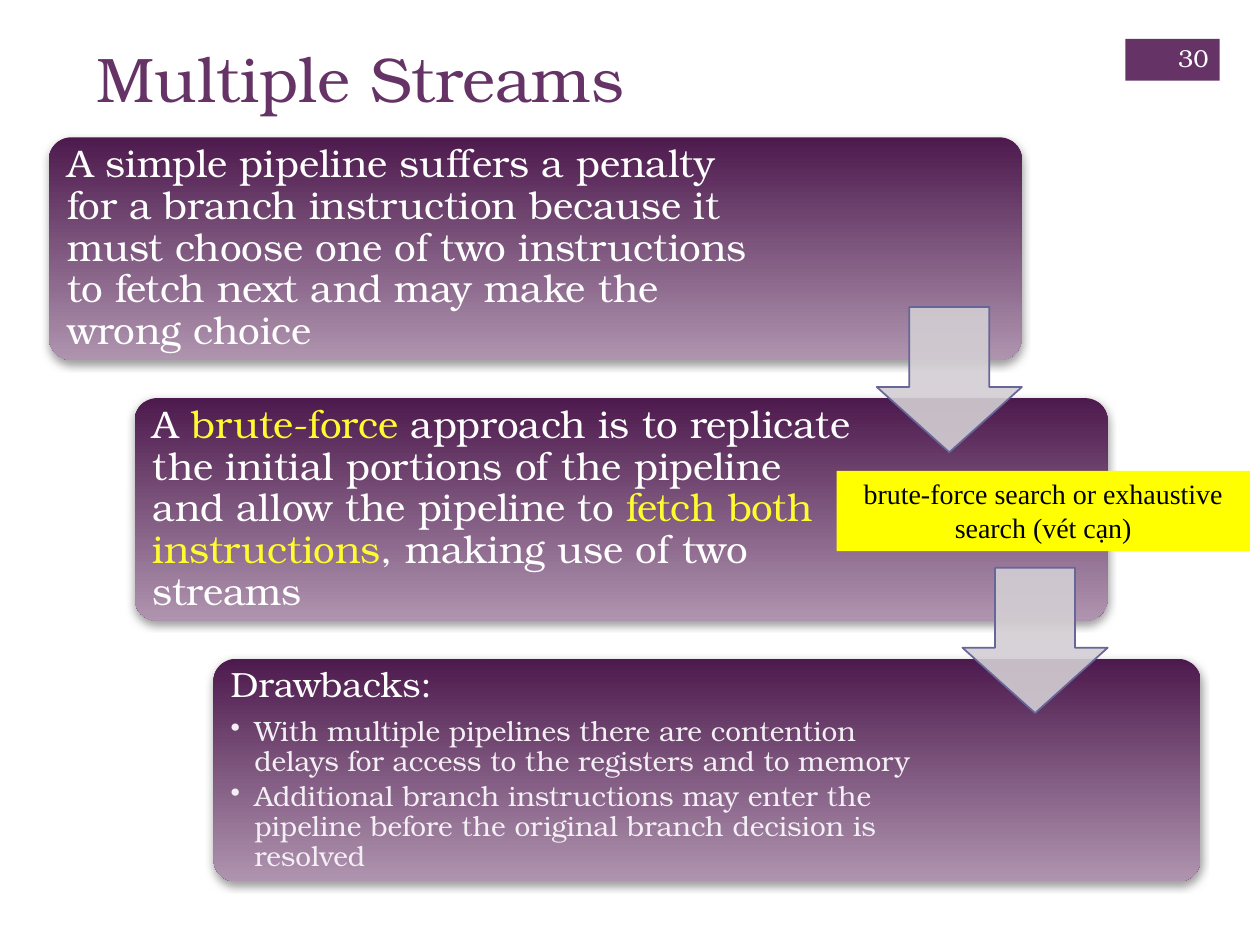
from lxml.etree import SubElement
from pptx import Presentation
from pptx.dml.color import RGBColor
from pptx.enum.shapes import MSO_SHAPE as Shape
from pptx.enum.text import MSO_ANCHOR as Anchor, MSO_AUTO_SIZE as AutoSize, PP_ALIGN as Align
from pptx.oxml import parse_xml
from pptx.oxml.ns import nsdecls, qn
from pptx.util import Pt

PURPLE = RGBColor(0x66, 0x33, 0x66)
DARK = RGBColor(0x4D, 0x1A, 0x4D)
LIGHT = RGBColor(0xAF, 0x94, 0xAF)
ARROW = RGBColor(0xD3, 0xCE, 0xD3)
ARROW_LINE = RGBColor(0x66, 0x66, 0x99)
WHITE = RGBColor(0xFF, 0xFF, 0xFF)
PALE = RGBColor(0xF3, 0xEF, 0xF5)
HIGHLIGHT = RGBColor(0xFE, 0xFB, 0x31)
YELLOW = RGBColor(0xFF, 0xFF, 0x00)
BLACK = RGBColor(0, 0, 0)
SERIF, TIMES = "TeX Gyre Bonum", "Times New Roman"

TITLE = "Multiple Streams"
PAGE = "30"
NOTE = "brute-force search or exhaustive search (vét cạn)"
# Each paragraph is a list of (text, colour) runs.
STEPS = [
    dict(left=28, width=556, inset=6.6, size=22, bullets=[], head=[
        ("A simple pipeline suffers a penalty for a branch instruction because it must "
         "choose one of two instructions to fetch next and may make the wrong choice", WHITE)]),
    dict(left=77, width=556, inset=6.6, size=22, bullets=[], head=[
        ("A ", WHITE), ("brute-force", HIGHLIGHT),
        (" approach is to replicate the initial portions of the pipeline and allow "
         "the pipeline to ", WHITE),
        ("fetch both instructions", HIGHLIGHT), (", making use of two streams", WHITE)]),
    dict(left=122, width=564, inset=6, size=20, head=[("Drawbacks:", WHITE)], bullets=[
        "With multiple pipelines there are contention delays for access to the registers "
        "and to memory",
        "Additional branch instructions may enter the pipeline before the original branch "
        "decision is resolved"]),
]
TOP, PITCH, CARD_H = 78.5, 149, 127.2
PAD, TEXT_SHARE = 3.8, 0.75
ARROW_SIZE, ARROW_DROP = 83, 97


def write(p, runs, size, font=SERIF, align=None, spacing=None, after=0, bullet=False):
    """Fill a paragraph with (text, colour) runs."""
    p.alignment, p.line_spacing, p.space_after = align, spacing, Pt(after)
    if bullet:
        p.level = 1
        pPr = p._p.get_or_add_pPr()
        pPr.set("marL", str(Pt(13.5)))
        pPr.set("indent", str(-Pt(13.5)))
        SubElement(pPr, qn("a:buChar")).set("char", "•")
    for text, color in runs:
        r = p.add_run()
        r.text = text
        r.font.size, r.font.name = Pt(size), font
        r.font.color.rgb = color


def frame(sp, inset=None, anchor=Anchor.MIDDLE):
    tf = sp.text_frame
    tf.word_wrap, tf.auto_size, tf.vertical_anchor = True, AutoSize.NONE, anchor
    if inset is not None:
        tf.margin_left = tf.margin_right = tf.margin_top = tf.margin_bottom = Pt(inset)
    return tf


def add_shape(s, kind, box, color=None, adjust=()):
    sp = s.shapes.add_shape(kind, *map(Pt, box))
    sp.shadow.inherit = False
    sp.line.fill.background()
    for i, value in enumerate(adjust):
        sp.adjustments[i] = value
    if color is not None:
        sp.fill.solid()
        sp.fill.fore_color.rgb = color
    return sp


def add_card(s, top, left, width, inset, size, head, bullets):
    card = add_shape(s, Shape.ROUNDED_RECTANGLE, (left, top, width, CARD_H), adjust=[0.1])
    card.fill.gradient()
    card.fill.gradient_angle = 270
    for stop, color, position in zip(card.fill.gradient_stops, (DARK, LIGHT), (0, 1)):
        stop.color.rgb, stop.position = color, position
    card._element.spPr.find(qn("a:effectLst")).append(parse_xml(
        f'<a:outerShdw {nsdecls("a")} blurRad="{Pt(5)}" dist="{Pt(2)}" dir="5400000" '
        'rotWithShape="0"><a:srgbClr val="808080"><a:alpha val="75000"/></a:srgbClr>'
        '</a:outerShdw>'))

    box = (left + PAD, top + PAD, width * TEXT_SHARE, CARD_H - 2 * PAD)
    tf = frame(s.shapes.add_textbox(*map(Pt, box)), inset)
    write(tf.paragraphs[0], head, size, spacing=0.9, after=7 if bullets else 0)
    for text in bullets:
        write(tf.add_paragraph(), [(text, PALE)], 16, spacing=0.9, bullet=True,
              after=0 if text == bullets[-1] else 2.4)


def add_arrow(s, right, top):
    sp = add_shape(s, Shape.DOWN_ARROW, (right - ARROW_SIZE, top, ARROW_SIZE, ARROW_SIZE),
                   ARROW, adjust=[0.55, 0.45])
    # The preset lists the head length second and the shaft width first.
    sp.adjustments[0], sp.adjustments[1] = 0.55, 0.45
    sp.line.color.rgb, sp.line.width = ARROW_LINE, Pt(1)
    fill = sp._element.spPr.find(qn("a:solidFill"))
    SubElement(fill[0], qn("a:alpha")).set("val", "90000")


def main():
    prs = Presentation()
    prs.slide_width, prs.slide_height = Pt(720), Pt(540)
    s = prs.slides.add_slide(prs.slide_layouts[5])

    title = s.shapes.title
    title.left, title.top, title.width, title.height = map(Pt, (48.2, 16.6, 594.7, 54.7))
    write(frame(title).paragraphs[0], [(TITLE, PURPLE)], 36, align=Align.LEFT)

    add_shape(s, Shape.RECTANGLE, (643, 22.3, 54, 23.8), PURPLE)
    tops = [TOP + i * PITCH for i in range(len(STEPS))]
    for top, step in zip(tops, STEPS):
        add_card(s, top, **step)
    for top, step in zip(tops, STEPS[:-1]):
        add_arrow(s, step["left"] + step["width"], top + ARROW_DROP)

    note = add_shape(s, Shape.RECTANGLE, (478, 269, 236.2, 46), YELLOW)
    write(frame(note, anchor=Anchor.TOP).paragraphs[0], [(NOTE, BLACK)], 16, TIMES, Align.CENTER)
    page = s.shapes.add_textbox(*map(Pt, (653.8, 18.7, 43.9, 28.8)))
    write(frame(page).paragraphs[0], [(PAGE, WHITE)], 14, align=Align.RIGHT)

    prs.save("out.pptx")


if __name__ == "__main__":
    main()
